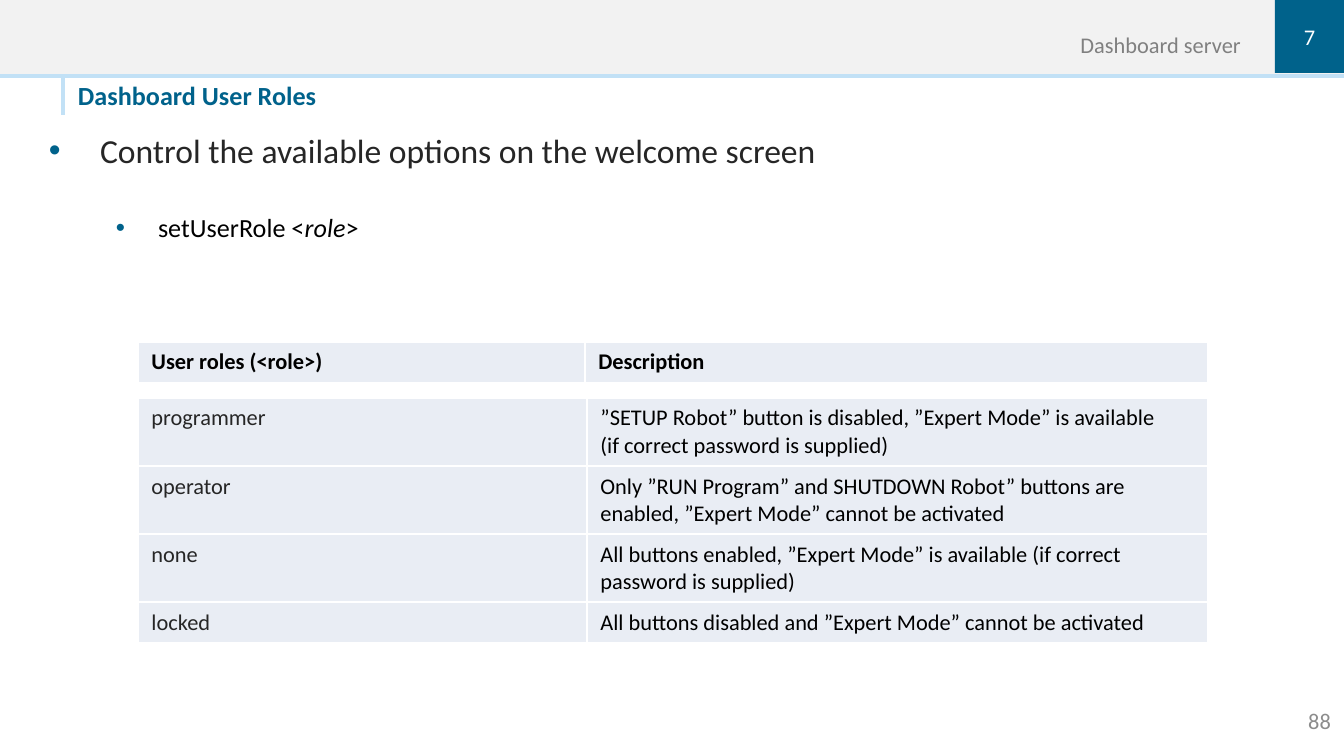
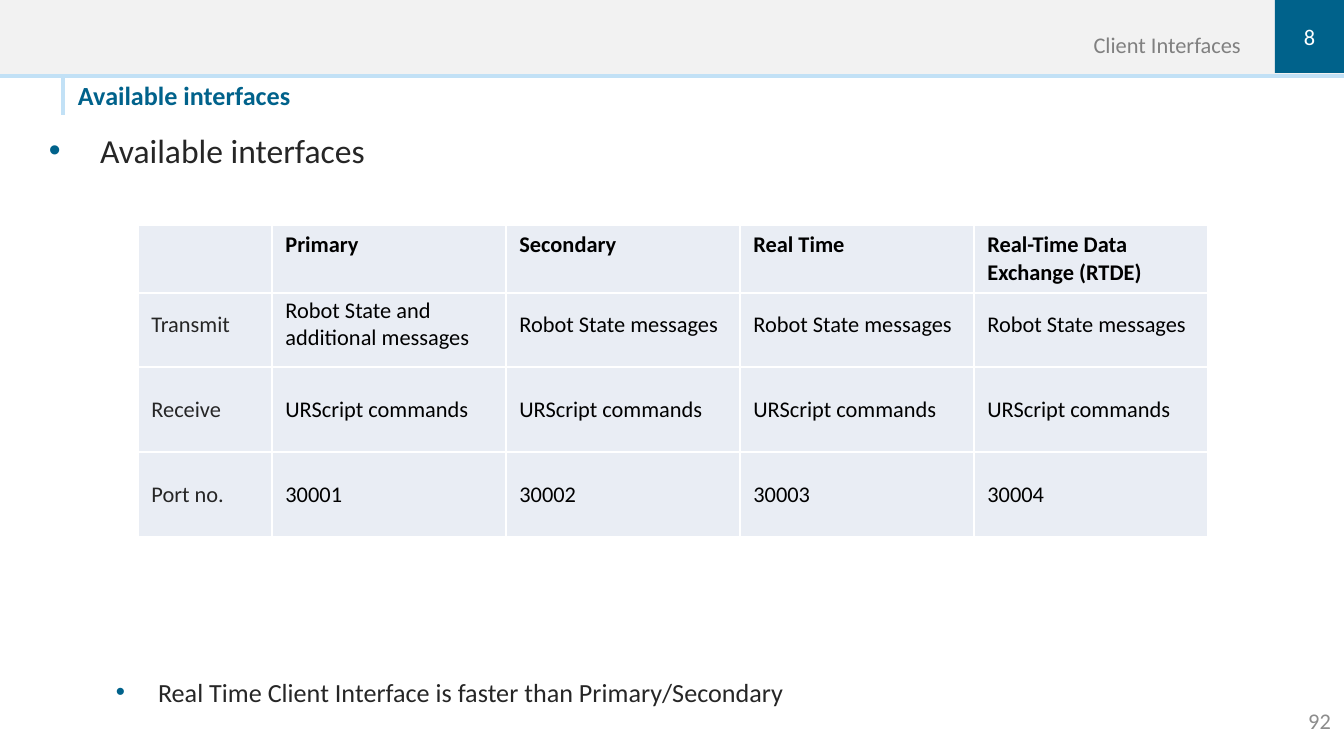
import lxml.etree
import pptx
import pptx.dml.color
import pptx.enum.shapes
import pptx.enum.text
import pptx.oxml
import pptx.oxml.ns
import pptx.util

PX = 914400 / 134.4
FONT = "Calibri"
COLORS = {
    "band": "F2F2F2",
    "accent": "C2E1F6",
    "brand": "00628B",
    "cell": "E9EDF4",
    "white": "FFFFFF",
    "black": "000000",
    "text": "262626",
    "section": "808080",
    "number": "8C8C8C",
}
RGB = {name: pptx.dml.color.RGBColor.from_string(value) for name, value in COLORS.items()}
ANCHOR = pptx.enum.text.MSO_ANCHOR
ALIGN = pptx.enum.text.PP_ALIGN
qn = pptx.oxml.ns.qn

SLIDES = [
    {
        "title": "Dashboard User Roles",
        "section": "Dashboard server",
        "chapter": "7",
        "number": "88",
        "bullets": [
            (0, 0, "text", [("Control the available options on the welcome screen", False)]),
            (1, 22, "black", [("setUserRole <", False), ("role", True), (">", False)]),
        ],
        "body_table": {
            "top": 398, "columns": [449, 621], "heights": [68, 68, 68, 41], "anchor": ANCHOR.TOP,
            "rows": [
                ["programmer", "”SETUP Robot” button is disabled, ”Expert Mode” is available \n(if correct password is supplied)"],
                ["operator", "Only ”RUN Program” and SHUTDOWN Robot” buttons are enabled, ”Expert Mode” cannot be activated"],
                ["none", "All buttons enabled, ”Expert Mode” is available (if correct password is supplied)"],
                ["locked", "All buttons disabled and ”Expert Mode” cannot be activated"],
            ],
        },
        "header_table": {
            "top": 342, "columns": [447, 623], "heights": [41], "anchor": ANCHOR.TOP,
            "rows": [["User roles (<role>)", "Description"]],
        },
    },
    {
        "title": "Available interfaces",
        "section": "Client Interfaces",
        "chapter": "8",
        "number": "92",
        "bullets": [
            (0, 0, "text", [("Available interfaces", False)]),
            (1, 271, "text", [("Real Time Client Interface is faster than Primary/Secondary", False)]),
        ],
        "body_table": {
            "top": 282, "columns": [134] + [234] * 4, "heights": [85] * 3, "anchor": ANCHOR.MIDDLE,
            "rows": [
                ["Transmit", "Robot State and additional messages"] + ["Robot State messages"] * 3,
                ["Receive"] + ["URScript commands"] * 4,
                ["Port no.", "30001", "30002", "30003", "30004"],
            ],
        },
        "header_table": {
            "top": 225, "columns": [134] + [234] * 4, "heights": [68], "anchor": ANCHOR.TOP,
            "rows": [["", "Primary", "Secondary", "Real Time", "Real-Time Data Exchange (RTDE)"]],
        },
    },
]


def px(*lengths):
    return [pptx.util.Emu(round(length * PX)) for length in lengths]


def add_text(paragraph, text, size, color, bold=False, italic=False):
    for index, line in enumerate(text.split("\n")):
        if index:
            paragraph.add_line_break()
        run = paragraph.add_run()
        run.text = line
        run.font.name = FONT
        run.font.size = pptx.util.Pt(size)
        run.font.color.rgb = RGB[color]
        run.font.bold = bold
        run.font.italic = italic


presentation = pptx.Presentation()
presentation.slide_width, presentation.slide_height = px(1344, 756)

for content in SLIDES:
    slide = presentation.slides.add_slide(presentation.slide_layouts[1])
    shapes = slide.shapes

    for height, color in [(78, "accent"), (74, "band")]:
        band = shapes.add_shape(pptx.enum.shapes.MSO_SHAPE.RECTANGLE, *px(0, 0, 1344, height))
        band.shadow.inherit = False
        band.fill.solid()
        band.fill.fore_color.rgb = RGB[color]
        band.line.fill.background()

    title_mark = shapes.add_connector(pptx.enum.shapes.MSO_CONNECTOR.STRAIGHT, *px(63, 78, 63, 115))
    title_mark.line.color.rgb = RGB["accent"]
    title_mark.line.width = pptx.util.Pt(2.5)
    lxml.etree.SubElement(title_mark._element.spPr, qn("a:effectLst"))

    number_box = shapes.add_textbox(*px(1210, 700, 134, 41))
    section_box = shapes.add_textbox(*px(672, 0, 569, 58))
    chapter_box = shapes.add_shape(pptx.enum.shapes.MSO_SHAPE.RECTANGLE, *px(1275, 0, 69, 73))
    chapter_box.shadow.inherit = False
    chapter_box.fill.solid()
    chapter_box.fill.fore_color.rgb = RGB["brand"]
    chapter_box.line.fill.background()

    title = shapes.title
    title.left, title.top, title.width, title.height = px(78, 79, 593, 38)
    for shape, text, size, color, align, anchor, margins in [
        (number_box, content["number"], 12, "number", ALIGN.RIGHT, ANCHOR.MIDDLE, (13, 7, 13, 7)),
        (section_box, content["section"], 12, "section", ALIGN.RIGHT, ANCHOR.BOTTOM, (0, 0, 0, 0)),
        (chapter_box, content["chapter"], 12, "white", ALIGN.CENTER, ANCHOR.MIDDLE, (0, 0, 0, 0)),
        (title, content["title"], 14, "brand", ALIGN.LEFT, ANCHOR.TOP, (0, 0, 0, 5)),
    ]:
        frame = shape.text_frame
        frame.word_wrap = True
        frame.auto_size = pptx.enum.text.MSO_AUTO_SIZE.NONE
        frame.vertical_anchor = anchor
        frame.margin_left, frame.margin_top, frame.margin_right, frame.margin_bottom = px(*margins)
        paragraph = frame.paragraphs[0]
        paragraph.alignment = align
        add_text(paragraph, text, size, color, bold=shape is title)

    body = slide.placeholders[1]
    body.left, body.top, body.width, body.height = px(36, 74, 1262, 682)
    frame = body.text_frame
    frame.auto_size = pptx.enum.text.MSO_AUTO_SIZE.NONE
    frame.vertical_anchor = ANCHOR.TOP
    frame.margin_left, frame.margin_top, frame.margin_right, frame.margin_bottom = px(13, 56, 13, 7)
    for index, (level, space, color, runs) in enumerate(content["bullets"]):
        paragraph = frame.add_paragraph() if index else frame.paragraphs[0]
        paragraph.level = level
        margin, indent = px(*[(51, -51), (109, -42)][level])
        properties = paragraph._p.get_or_add_pPr()
        properties.set("marL", str(margin))
        properties.set("indent", str(indent))
        bullet_color = lxml.etree.SubElement(properties, qn("a:buClr"))
        lxml.etree.SubElement(bullet_color, qn("a:srgbClr")).set("val", COLORS["brand"])
        lxml.etree.SubElement(properties, qn("a:buFont")).set("typeface", "Arial")
        lxml.etree.SubElement(properties, qn("a:buChar")).set("char", "•")
        paragraph.space_before = pptx.util.Pt(space)
        for text, italic in runs:
            add_text(paragraph, text, [18, 14][level], color, italic=italic)

    for kind in ["body_table", "header_table"]:
        data = content[kind]
        rows, columns, heights = data["rows"], data["columns"], data["heights"]
        table = shapes.add_table(
            len(rows), len(columns), *px(138, data["top"], sum(columns), sum(heights))
        ).table
        table.first_row = False
        table.horz_banding = False
        for column, width in zip(table.columns, px(*columns)):
            column.width = width
        for row, height in zip(table.rows, px(*heights)):
            row.height = height
        for row_index, row in enumerate(rows):
            for column_index, text in enumerate(row):
                cell = table.cell(row_index, column_index)
                cell.vertical_anchor = data["anchor"]
                cell.fill.solid()
                cell.fill.fore_color.rgb = RGB["cell"]
                properties = cell._tc.get_or_add_tcPr()
                for position, side in enumerate(["lnL", "lnR", "lnT", "lnB"]):
                    border = pptx.oxml.parse_xml(
                        f'<a:{side} {pptx.oxml.ns.nsdecls("a")} w="12700"><a:solidFill>'
                        f'<a:srgbClr val="{COLORS["white"]}"/></a:solidFill></a:{side}>'
                    )
                    properties.insert(position, border)
                if text:
                    is_header = kind == "header_table"
                    color = "black" if is_header or column_index else "text"
                    add_text(cell.text_frame.paragraphs[0], text, 12, color, bold=is_header)

presentation.save("out.pptx")
